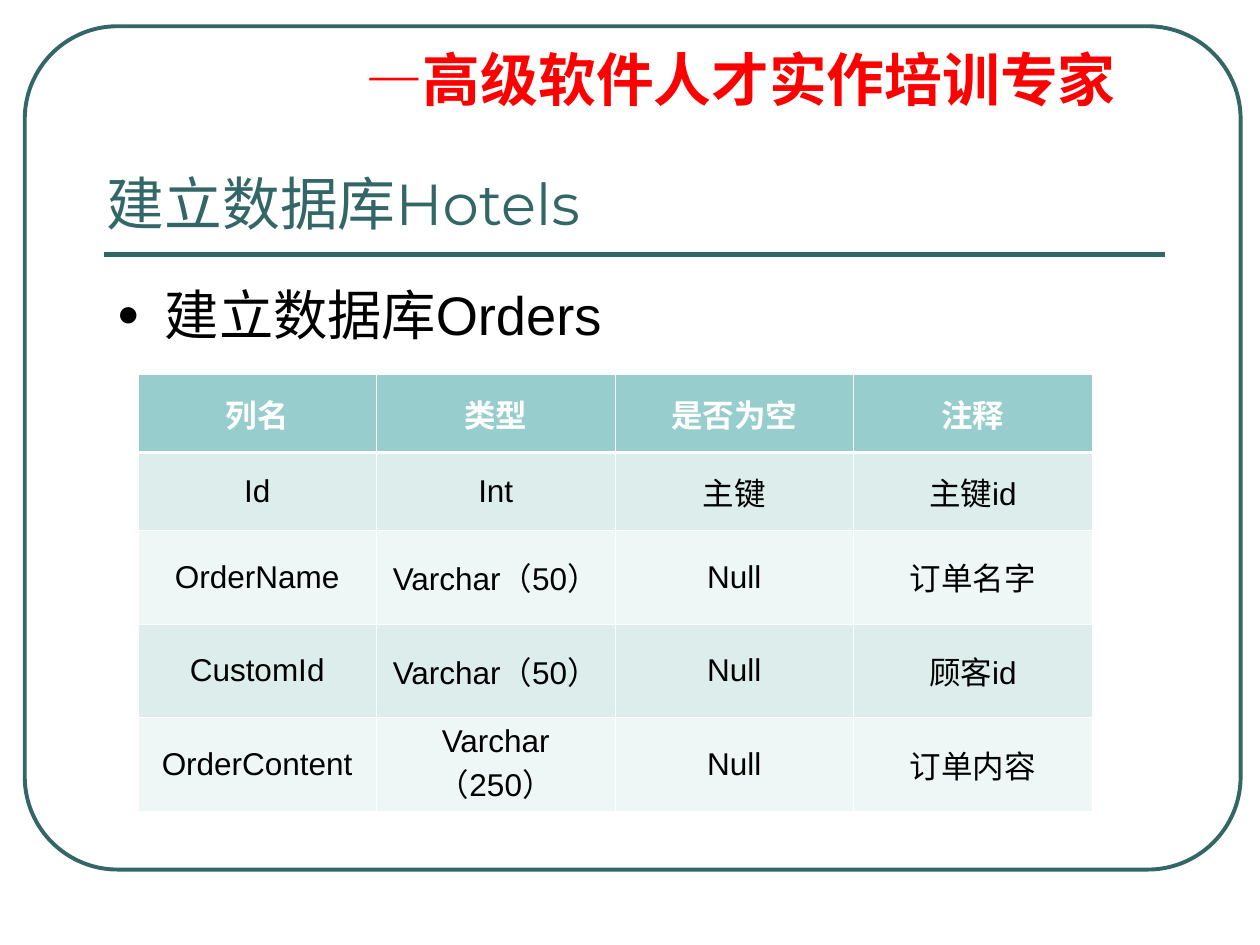
from lxml.etree import SubElement
from pptx import Presentation
from pptx.dml.color import RGBColor
from pptx.enum.shapes import MSO_CONNECTOR, MSO_SHAPE
from pptx.enum.text import MSO_ANCHOR, MSO_AUTO_SIZE, PP_ALIGN
from pptx.oxml.ns import qn
from pptx.util import Cm, Pt

COLORS = {
    "teal": "336666",
    "red": "FF0000",
    "black": "000000",
    "white": "FFFFFF",
    "header": "97CDCC",
    "odd": "DDEDEC",
    "even": "EFF6F6",
}
CJK_FONT = "Noto Sans CJK SC"


def rgb(name):
    return RGBColor.from_string(COLORS[name])


def format_runs(paragraph, size, font, color, bold=False):
    for run in paragraph.runs:
        run.font.size = Pt(size)
        run.font.bold = bold
        run.font.color.rgb = rgb(color)
        run.font.name = font
        SubElement(run._r.get_or_add_rPr(), qn("a:ea"), typeface=CJK_FONT)


presentation = Presentation()
presentation.slide_width = Cm(25.4)
presentation.slide_height = Cm(19.05)
slide = presentation.slides.add_slide(presentation.slide_layouts[1])

frame = slide.shapes.add_shape(
    MSO_SHAPE.ROUNDED_RECTANGLE, Cm(0.5), Cm(0.53), Cm(24.51), Cm(17))
frame.adjustments[0] = 0.11
frame.shadow.inherit = False
frame.fill.background()
frame.line.color.rgb = rgb("teal")
frame.line.width = Pt(2.25)

rule = slide.shapes.add_connector(
    MSO_CONNECTOR.STRAIGHT, Cm(2.1), Cm(5.13), Cm(23.48), Cm(5.13))
rule.line.color.rgb = rgb("teal")
rule.line.width = Pt(3)
SubElement(rule._element.spPr, qn("a:effectLst"))

slogan = slide.shapes.add_textbox(Cm(7.11), Cm(0.91), Cm(16), Cm(1.52))
slogan.text_frame.word_wrap = True
paragraph = slogan.text_frame.paragraphs[0]
paragraph.line_spacing = 0.9
paragraph.space_before = Pt(8.2)
for text in ("—", "高级软件人才实作培训专家"):
    paragraph.add_run().text = text
format_runs(paragraph, 33, "Montserrat", "red", bold=True)
paragraph.runs[1].font.name = CJK_FONT
properties = paragraph._p.get_or_add_pPr()
properties.set("marL", str(Cm(0.97)))
properties.set("indent", str(-Cm(0.97)))

title = slide.shapes.title
title.left, title.top, title.width, title.height = Cm(1.9), Cm(0.91), Cm(21.39), Cm(3.99)
title.text_frame.text = "建立数据库Hotels"
title.text_frame.auto_size = MSO_AUTO_SIZE.NONE
title.text_frame.vertical_anchor = MSO_ANCHOR.BOTTOM
paragraph = title.text_frame.paragraphs[0]
paragraph.alignment = PP_ALIGN.LEFT
format_runs(paragraph, 33, "Montserrat", "teal")

body = slide.placeholders[1]
body.left, body.top, body.width, body.height = Cm(2.1), Cm(5.54), Cm(21.39), Cm(11.38)
body.text_frame.text = "建立数据库Orders"
body.text_frame.auto_size = MSO_AUTO_SIZE.NONE
paragraph = body.text_frame.paragraphs[0]
paragraph.space_before = Pt(7.7)
format_runs(paragraph, 31, "Arial", "black")
properties = paragraph._p.get_or_add_pPr()
properties.set("marL", str(Cm(0.97)))
properties.set("indent", str(-Cm(0.97)))
bullet_color = SubElement(properties, qn("a:buClr"))
SubElement(bullet_color, qn("a:srgbClr"), val=COLORS["black"])
SubElement(properties, qn("a:buSzPct"), val="70000")
SubElement(properties, qn("a:buFont"), typeface="Arial")
SubElement(properties, qn("a:buChar"), char="●")

rows = [
    ("列名", "类型", "是否为空", "注释"),
    ("Id", "Int", "主键", "主键id"),
    ("OrderName", "Varchar（50）", "Null", "订单名字"),
    ("CustomId", "Varchar（50）", "Null", "顾客id"),
    ("OrderContent", "Varchar（250）", "Null", "订单内容"),
]
row_heights = (1.57, 1.57, 1.89, 1.89, 1.89)
table = slide.shapes.add_table(
    len(rows), len(rows[0]), Cm(2.78), Cm(7.55), Cm(19.25), Cm(8.55)).table
for column in table.columns:
    column.width = Cm(4.81)
for row_index, values in enumerate(rows):
    table.rows[row_index].height = Cm(row_heights[row_index])
    is_header = row_index == 0
    fill = "header" if is_header else "odd" if row_index % 2 else "even"
    for column_index, value in enumerate(values):
        cell = table.cell(row_index, column_index)
        cell.text_frame.text = value
        cell.vertical_anchor = MSO_ANCHOR.MIDDLE
        paragraph = cell.text_frame.paragraphs[0]
        paragraph.alignment = PP_ALIGN.CENTER
        format_runs(paragraph, 18, "Arial", "white" if is_header else "black", is_header)
        cell_properties = cell._tc.get_or_add_tcPr()
        for side in ("lnL", "lnR", "lnT", "lnB"):
            thick = (row_index, side) in ((0, "lnB"), (1, "lnT"))
            border = SubElement(cell_properties, qn(f"a:{side}"), w=str(Pt(1.47 if thick else 0.45)))
            border_fill = SubElement(border, qn("a:solidFill"))
            SubElement(border_fill, qn("a:srgbClr"), val=COLORS["white"])
        cell.fill.solid()
        cell.fill.fore_color.rgb = rgb(fill)

presentation.save("out.pptx")
